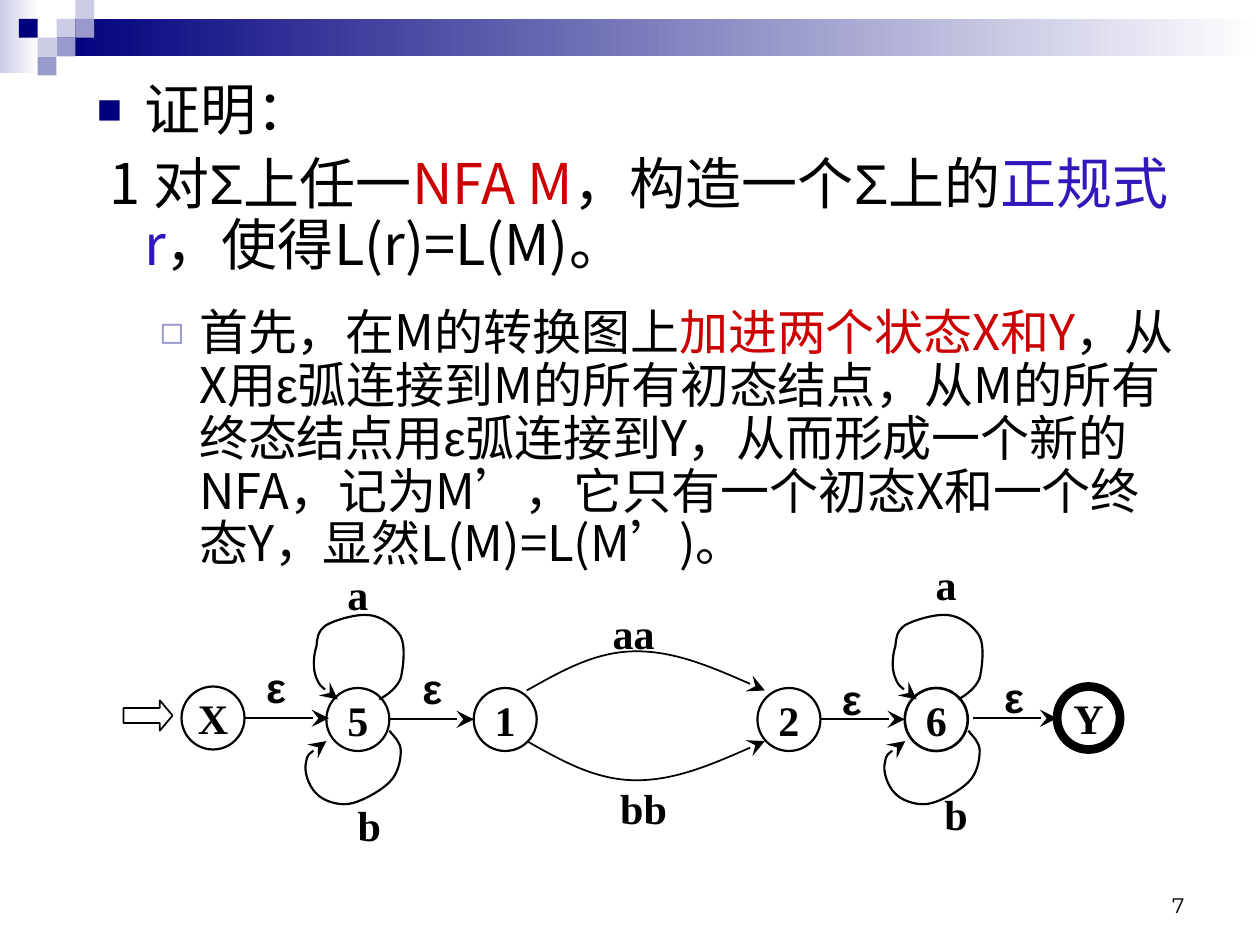
import lxml.etree
import pptx
import pptx.dml.color
import pptx.enum.shapes
import pptx.enum.text
import pptx.oxml.ns
import pptx.util

Cm = pptx.util.Cm
Pt = pptx.util.Pt
RGBColor = pptx.dml.color.RGBColor
MSO_SHAPE = pptx.enum.shapes.MSO_SHAPE
PP_ALIGN = pptx.enum.text.PP_ALIGN
MSO_ANCHOR = pptx.enum.text.MSO_ANCHOR
qn = pptx.oxml.ns.qn

BLACK = RGBColor(0x00, 0x00, 0x00)
WHITE = RGBColor(0xFF, 0xFF, 0xFF)
NAVY = RGBColor(0x00, 0x00, 0x7D)
PALE = RGBColor(0xCC, 0xCC, 0xE6)
LAVENDER = RGBColor(0x99, 0x99, 0xCC)
RED = RGBColor(0xCC, 0x00, 0x00)
VIOLET = RGBColor(0x32, 0x17, 0xBB)

CHINESE, GREEK, STATE, NUMBER = "Noto Sans CJK SC", "Arial", "Times New Roman", "Montserrat"
SIDE = 1.27
ARROW_LENGTH = 1.7
LOOP_STEP = 11.67

PARAGRAPHS = [
    {"size": 32, "before": 8, "level": 0, "left": 0.95, "hang": -0.95,
     "bullet": ("■", NAVY, 75), "runs": [("证明： ", BLACK)]},
    {"size": 32, "before": 8, "level": 0, "left": 0.95, "hang": -0.95, "bullet": None,
     "runs": [(" 1 对", BLACK), ("Σ", BLACK), ("上任一", BLACK), ("NFA M", RED),
              ("，构造一个", BLACK), ("Σ", BLACK), ("上的", BLACK), ("正规式r", VIOLET),
              ("，使得L(r)=L(M)。", BLACK)]},
    {"size": 28, "before": 17.5, "level": 1, "left": 2.06, "hang": -0.79,
     "bullet": ("◻", LAVENDER, 80),
     "runs": [("首先，在M的转换图上", BLACK), ("加进两个状态X和Y", RED), ("，从X用", BLACK),
              ("ε", BLACK), ("弧连接到M的所有初态结点，从M的所有终态结点用", BLACK), ("ε", BLACK),
              ("弧连接到Y，从而形成一个新的NFA，记为M’，它只有一个初态X和一个终态Y，"
               "显然L(M)=L(M’)。", BLACK)]},
]
GRADIENT_BARS = [((0, 0, 0.79, 1.47), PALE), ((1.14, 0.38, 24.26, 0.76), NAVY)]
TILE = 0.38
TILES = [(3, 1, PALE), (4, 0, PALE), (4, 1, LAVENDER), (2, 2, PALE), (1, 1, NAVY),
         (3, 2, LAVENDER), (2, 3, LAVENDER)]
STATES = [("X", 3.66, 13.84, 1.25), ("5", 6.58, 13.87, 1.25), ("1", 9.55, 13.87, 1.25),
          ("2", 15.27, 13.87, 1.25), ("6", 18.24, 13.87, 1.5), ("Y", 21.31, 13.84, 5)]
ARROWS = [(4.93, 14.48), (7.85, 14.5), (16.54, 14.5), (19.61, 14.48)]
LABELS = [("a", 6.58, 11.33), ("b", 6.81, 16), ("ε", 8.08, 13.23), ("ε", 16.54, 13.46),
          ("a", 18.44, 11.13), ("b", 18.64, 15.77), ("aa", 12.14, 12.12),
          ("bb", 12.34, 15.65), ("ε", 19.81, 13.41), ("ε", 4.93, 13.21)]
LOOP_A = [(7.65, 14.1), (7.82, 14), (8, 13.87), (8.08, 13.67), (8.13, 13.46), (8.18, 13.03),
          (8.08, 12.83), (7.95, 12.6), (7.67, 12.42), (7.44, 12.4), (7.19, 12.37),
          (6.76, 12.5), (6.58, 12.6), (6.4, 12.73), (6.4, 12.85), (6.38, 13.03),
          (6.32, 13.21), (6.3, 13.49), (6.38, 13.67), (6.45, 13.84), (6.63, 13.97), (6.81, 14.1)]
LOOP_B = [(7.85, 14.73), (7.95, 14.86), (8.08, 14.96), (8.08, 15.14), (8.08, 15.32),
          (8.03, 15.6), (7.85, 15.77), (7.67, 15.95), (7.26, 16.18), (7.01, 16.21),
          (6.76, 16.23), (6.5, 16.13), (6.38, 16), (6.22, 15.85), (6.12, 15.54),
          (6.17, 15.37), (6.2, 15.19), (6.4, 15.06), (6.58, 14.94)]
ARC_X = [10.62, 11.33, 12.01, 12.83, 13.61, 14.53, 15.42]
ARC_RISES = [0, 0.4, 0.79, 0.79, 0.79, 0.4, 0]

presentation = pptx.Presentation()
presentation.slide_width, presentation.slide_height = Cm(25.4), Cm(19.05)
slide = presentation.slides.add_slide(presentation.slide_layouts[1])
title = slide.shapes.title
title._element.getparent().remove(title._element)


def add_run(paragraph, text, size, font, color, bold=False, asian=None):
    run = paragraph.add_run()
    run.text = text
    run.font.size, run.font.name, run.font.bold = Pt(size), font, bold
    run.font.color.rgb = color
    lxml.etree.SubElement(run._r.get_or_add_rPr(), qn("a:ea"), typeface=asian or font)


def add_preset(kind, left, top, width, height):
    shape = slide.shapes.add_shape(kind, Cm(left), Cm(top), Cm(width), Cm(height))
    shape.shadow.inherit = False
    return shape


def draw_line(shape, width, arrow=False):
    shape.line.color.rgb = BLACK
    shape.line.width = Pt(width)
    if arrow:
        outline = shape._element.spPr.find(qn("a:ln"))
        lxml.etree.SubElement(outline, qn("a:tailEnd"), type="stealth", w="lg", len="lg")


def write_centred(shape, text):
    frame = shape.text_frame
    frame.word_wrap = False
    frame.margin_left = frame.margin_right = 0
    frame.vertical_anchor = MSO_ANCHOR.MIDDLE
    paragraph = frame.paragraphs[0]
    paragraph.alignment = PP_ALIGN.CENTER
    add_run(paragraph, text, 24, GREEK if text == "ε" else STATE, BLACK, True)


def add_curve(points, width):
    start, *rest = [(Cm(x), Cm(y)) for x, y in points]
    builder = slide.shapes.build_freeform(*start)
    builder.add_line_segments(rest, close=False)
    curve = builder.convert_to_shape()
    segments = list(curve._element.iter(qn("a:lnTo")))
    for index in range(0, len(segments), 3):
        bezier = lxml.etree.Element(qn("a:cubicBezTo"))
        segments[index].addprevious(bezier)
        for segment in segments[index:index + 3]:
            bezier.append(segment[0])
            segment.getparent().remove(segment)
    curve.shadow.inherit = False
    curve.fill.background()
    draw_line(curve, width, True)


def set_bullet(paragraph, bullet):
    properties = paragraph._p.get_or_add_pPr()
    if bullet is None:
        lxml.etree.SubElement(properties, qn("a:buNone"))
        return
    character, color, percent = bullet
    bullet_color = lxml.etree.SubElement(properties, qn("a:buClr"))
    lxml.etree.SubElement(bullet_color, qn("a:srgbClr"), val=str(color))
    lxml.etree.SubElement(properties, qn("a:buSzPct"), val=str(percent * 1000))
    lxml.etree.SubElement(properties, qn("a:buFont"), typeface=GREEK)
    lxml.etree.SubElement(properties, qn("a:buChar"), char=character)


for box, color in GRADIENT_BARS:
    bar = add_preset(MSO_SHAPE.RECTANGLE, *box)
    bar.line.fill.background()
    bar.fill.gradient()
    bar.fill.gradient_angle = 0
    for stop, stop_color in zip(bar.fill.gradient_stops, (color, WHITE)):
        stop.color.rgb = stop_color

for column, row, color in TILES:
    tile = add_preset(MSO_SHAPE.RECTANGLE, column * TILE, row * TILE, TILE, TILE)
    tile.line.fill.background()
    tile.fill.solid()
    tile.fill.fore_color.rgb = color

body = slide.placeholders[1]
body.left, body.top, body.width, body.height = Cm(1.7), Cm(1.52), Cm(22.43), Cm(14.83)
frame = body.text_frame
frame.auto_size = pptx.enum.text.MSO_AUTO_SIZE.NONE
frame.vertical_anchor = MSO_ANCHOR.TOP
for index, item in enumerate(PARAGRAPHS):
    paragraph = frame.add_paragraph() if index else frame.paragraphs[0]
    paragraph.level = item["level"]
    paragraph.line_spacing = 0.9
    paragraph.space_before = Pt(item["before"])
    properties = paragraph._p.get_or_add_pPr()
    properties.set("marL", str(Cm(item["left"])))
    properties.set("indent", str(Cm(item["hang"])))
    set_bullet(paragraph, item["bullet"])
    for text, color in item["runs"]:
        font = GREEK if text in "Σε" else CHINESE
        add_run(paragraph, text, item["size"], font, color, asian=CHINESE)

page_number = slide.shapes.add_textbox(Cm(18.21), Cm(17.35), Cm(5.92), Cm(1.27))
page_number.text_frame.word_wrap = True
page_number.text_frame.vertical_anchor = MSO_ANCHOR.BOTTOM
page_number.text_frame.paragraphs[0].alignment = PP_ALIGN.RIGHT
add_run(page_number.text_frame.paragraphs[0], "7", 12, NUMBER, BLACK)

for name, left, top, width in STATES:
    state = add_preset(MSO_SHAPE.OVAL, left, top, SIDE, SIDE)
    state.fill.background()
    draw_line(state, width)
    write_centred(state, name)

for shift in (0, LOOP_STEP):
    for loop in (LOOP_A, LOOP_B):
        add_curve([(x + shift, y) for x, y in loop], 1.25)

for base, direction in ((13.92, -1), (14.94, 1)):
    add_curve([(x, base + direction * rise) for x, rise in zip(ARC_X, ARC_RISES)], 1)

for left, top in ARROWS:
    arrow = slide.shapes.add_connector(pptx.enum.shapes.MSO_CONNECTOR.STRAIGHT,
                                       Cm(left), Cm(top), Cm(left + ARROW_LENGTH), Cm(top))
    draw_line(arrow, 1.25, True)
    lxml.etree.SubElement(arrow._element.spPr, qn("a:effectLst"))

for text, left, top in LABELS:
    label = slide.shapes.add_textbox(Cm(left), Cm(top), Cm(SIDE), Cm(SIDE))
    write_centred(label, text)

start_arrow = add_preset(MSO_SHAPE.RIGHT_ARROW, 2.49, 14.12, 0.99, 0.61)
start_arrow.adjustments[1] = 0.42
start_arrow.fill.background()
draw_line(start_arrow, 1)

presentation.save("out.pptx")
